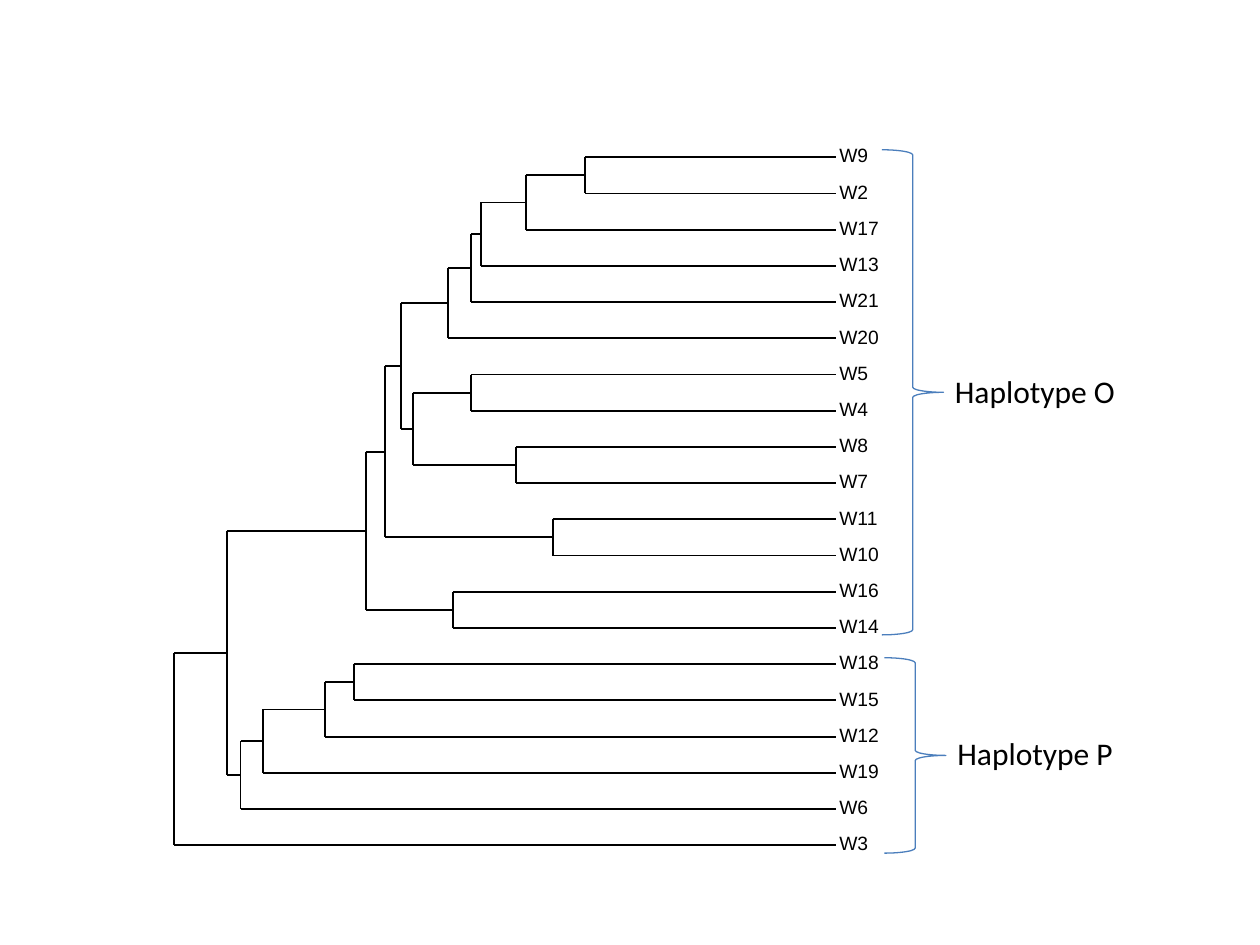
from dataclasses import dataclass
from typing import Union

from lxml import etree
from pptx import Presentation
from pptx.dml.color import RGBColor
from pptx.enum.shapes import MSO_CONNECTOR, MSO_SHAPE
from pptx.enum.text import MSO_ANCHOR, MSO_AUTO_SIZE
from pptx.oxml.ns import qn
from pptx.util import Cm, Pt

STRAIGHT = MSO_CONNECTOR.STRAIGHT
RIGHT_BRACE = MSO_SHAPE.RIGHT_BRACE
MIDDLE = MSO_ANCHOR.MIDDLE
FIT_SHAPE = MSO_AUTO_SIZE.SHAPE_TO_FIT_TEXT

BLACK = RGBColor(0x00, 0x00, 0x00)
BLUE = RGBColor(0x4B, 0x7E, 0xBC)

# Tree layout in centimetres
LEAF_X = 16.85
FIRST_LEAF_Y = 3.17
LEAF_STEP = 0.73
LABEL_X = 16.92
LABEL_HEIGHT = 0.28


@dataclass(frozen=True)
class Node:
    """A fork at x with an upper and a lower branch; a string is a leaf."""
    x: float
    upper: Union["Node", str]
    lower: Union["Node", str]


@dataclass(frozen=True)
class Haplotype:
    """A brace over a range of leaves, with its name."""
    name: str
    left: float
    top: float
    height: float
    text_left: float
    text_top: float


W9_TO_W20 = Node(9.03, Node(9.49, Node(9.7, Node(10.6, Node(
    11.8, "W9", "W2"), "W17"), "W13"), "W21"), "W20")
W5_TO_W7 = Node(8.32, Node(9.49, "W5", "W4"), Node(10.4, "W8", "W7"))
W9_TO_W10 = Node(7.76, Node(8.09, W9_TO_W20, W5_TO_W7), Node(11.14, "W11", "W10"))
CLADE_O = Node(7.37, W9_TO_W10, Node(9.13, "W16", "W14"))
CLADE_P = Node(4.85, Node(5.3, Node(6.56, Node(
    7.13, "W18", "W15"), "W12"), "W19"), "W6")
TREE = Node(3.51, Node(4.57, CLADE_O, CLADE_P), "W3")

HAPLOTYPES = [
    Haplotype("Haplotype O", 17.78, 3.02, 9.78, 19.0, 7.37),
    Haplotype("Haplotype P", 17.83, 13.26, 3.94, 19.05, 14.68),
]


def leaves(branch: Union[Node, str]) -> list[str]:
    """List the leaf names from top to bottom."""
    if isinstance(branch, str):
        return [branch]
    return leaves(branch.upper) + leaves(branch.lower)


LEAF_Y = {name: FIRST_LEAF_Y + i * LEAF_STEP for i, name in enumerate(leaves(TREE))}


def branch_y(branch: Union[Node, str]) -> float:
    """Return a leaf's row, or the middle of a fork's two branches."""
    if isinstance(branch, str):
        return LEAF_Y[branch]
    return (branch_y(branch.upper) + branch_y(branch.lower)) / 2


def add_line(s, x1: float, y1: float, x2: float, y2: float) -> None:
    """Draw one black line of the tree."""
    line = s.shapes.add_connector(STRAIGHT, Cm(x1), Cm(y1), Cm(x2), Cm(y2))
    line.line.color.rgb = BLACK
    line.line.width = Pt(1.07)
    etree.SubElement(line._element.spPr, qn("a:effectLst"))


def add_text(s, text: str, left: float, top: float, width: float, height: float,
             font: str, size: float):
    """Add a one-line text box and return its text frame."""
    tf = s.shapes.add_textbox(Cm(left), Cm(top), Cm(width), Cm(height)).text_frame
    p = tf.paragraphs[0]
    p.text = text
    p.font.name = font
    p.font.size = Pt(size)
    p.font.color.rgb = BLACK
    return tf


def add_leaf_label(s, name: str) -> None:
    """Write a leaf name at the end of its line."""
    width = 0.59 if len(name) == 2 else 0.81
    tf = add_text(s, name, LABEL_X, LEAF_Y[name] - LABEL_HEIGHT / 2,
                  width, LABEL_HEIGHT, "Arial", 11)
    tf.margin_left = tf.margin_right = tf.margin_top = tf.margin_bottom = 0
    tf.vertical_anchor = MIDDLE
    tf.word_wrap = False
    tf.paragraphs[0].line_spacing = Pt(11)


def add_tree(s, node: Node) -> None:
    """Draw a fork and everything that branches from it."""
    y = branch_y(node)
    for child in (node.upper, node.lower):
        child_y = branch_y(child)
        is_leaf = isinstance(child, str)
        add_line(s, node.x, y, node.x, child_y)
        add_line(s, node.x, child_y, LEAF_X if is_leaf else child.x, child_y)
        if is_leaf:
            add_leaf_label(s, child)
        else:
            add_tree(s, child)


def add_haplotype(s, group: Haplotype) -> None:
    """Draw a brace and the haplotype name beside it."""
    sp = s.shapes.add_shape(RIGHT_BRACE, Cm(group.left), Cm(group.top),
                            Cm(1.24), Cm(group.height))
    sp.shadow.inherit = False
    sp.fill.background()
    sp.line.color.rgb = BLUE
    sp.line.width = Pt(0.75)
    tf = add_text(s, group.name, group.text_left, group.text_top, 3.78, 1.02,
                  "Calibri", 18)
    tf.word_wrap = True
    tf.auto_size = FIT_SHAPE


def main() -> None:
    """Build the slide and save it."""
    prs = Presentation()
    prs.slide_width, prs.slide_height = Cm(25.4), Cm(19.05)
    s = prs.slides.add_slide(prs.slide_layouts[6])
    add_tree(s, TREE)
    for group in HAPLOTYPES:
        add_haplotype(s, group)
    prs.save("out.pptx")


main()
